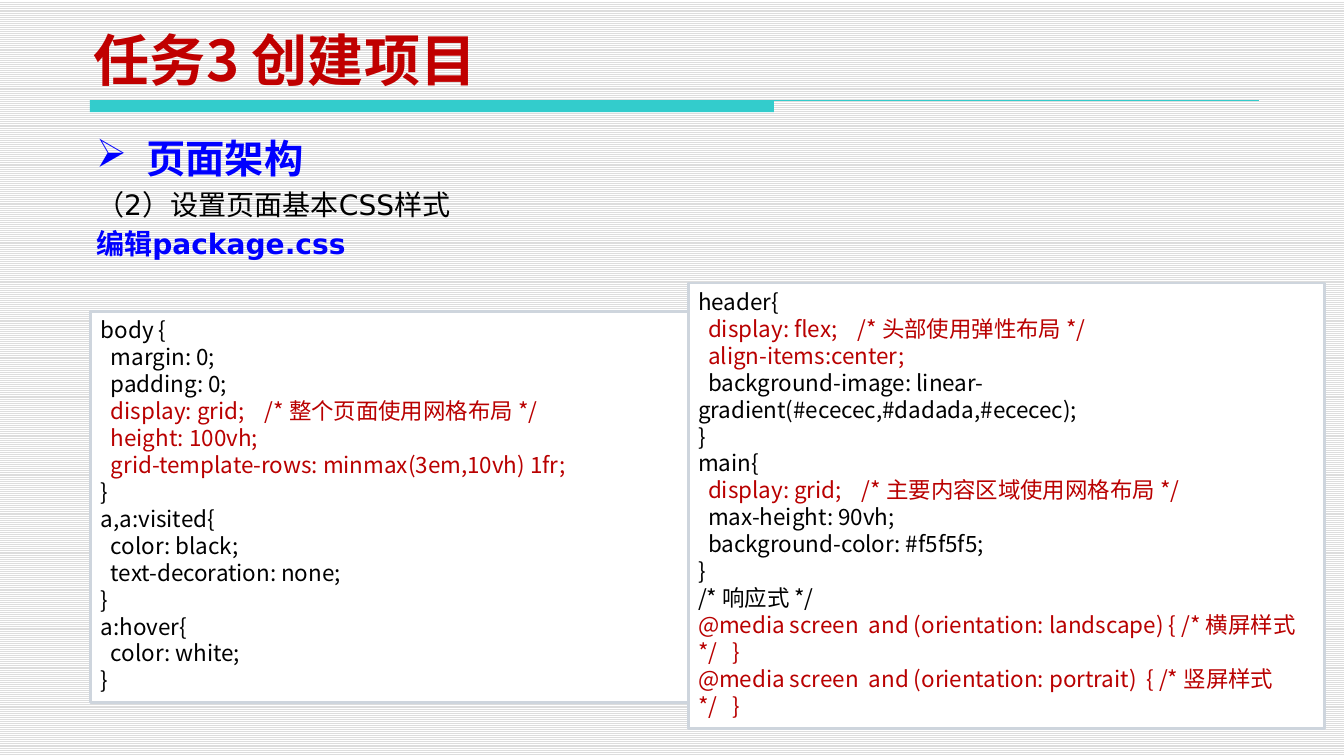
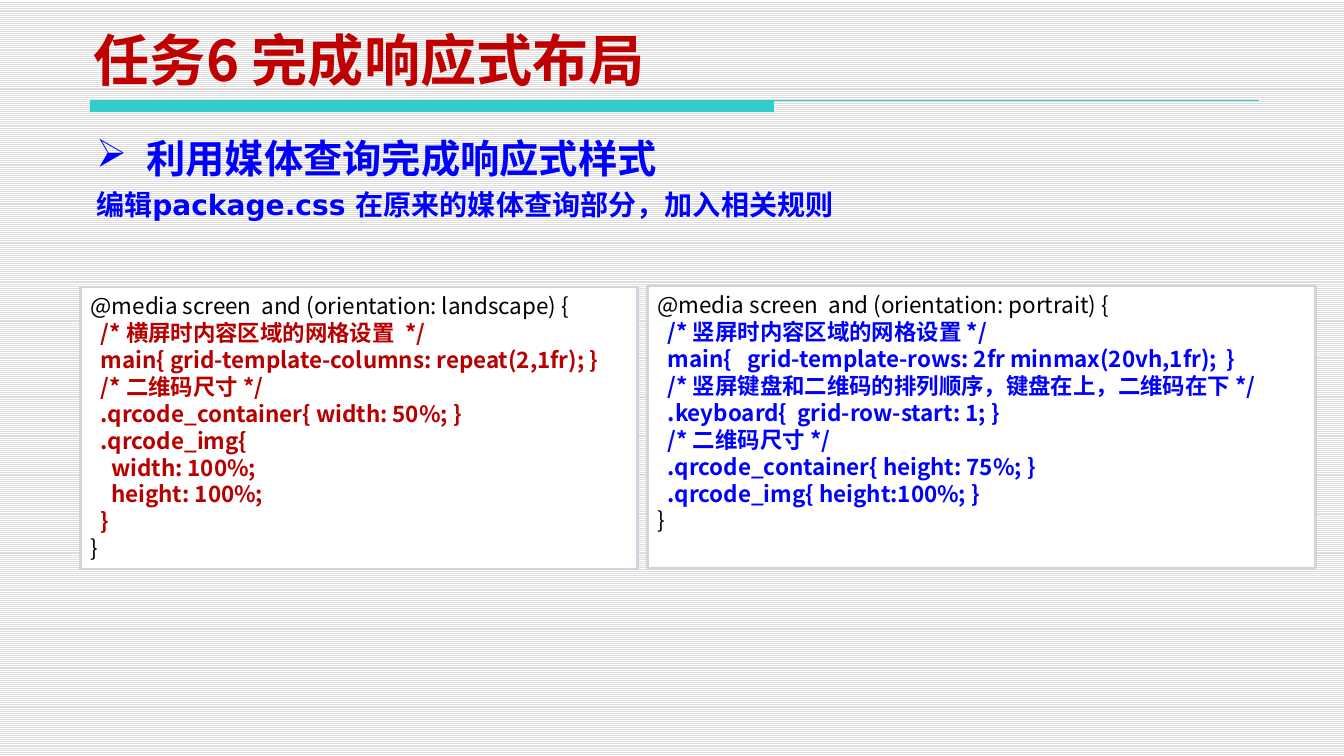
from lxml import etree
from pptx import Presentation
from pptx.dml.color import RGBColor
from pptx.enum.dml import MSO_PATTERN
from pptx.enum.shapes import MSO_CONNECTOR, MSO_SHAPE
from pptx.enum.text import MSO_ANCHOR, PP_ALIGN
from pptx.oxml.ns import qn
from pptx.util import Pt

LIGHT_HORIZONTAL = MSO_PATTERN.LIGHT_HORIZONTAL
STRAIGHT = MSO_CONNECTOR.STRAIGHT
RECTANGLE = MSO_SHAPE.RECTANGLE
TOP, BOTTOM = MSO_ANCHOR.TOP, MSO_ANCHOR.BOTTOM
LEFT, JUSTIFY = PP_ALIGN.LEFT, PP_ALIGN.JUSTIFY


class Theme:
    black = RGBColor.from_string("000000")
    white = RGBColor.from_string("FFFFFF")
    stripe = RGBColor.from_string("DDDDDD")
    band = RGBColor.from_string("33CCCC")
    title = RGBColor.from_string("C00000")
    blue = RGBColor.from_string("0000FF")
    red = RGBColor.from_string("B90000")
    border = RGBColor.from_string("CED5DD")
    cjk_font = "Noto Sans CJK SC"
    body_font = "DejaVu Sans"
    title_size, heading_size, body_size, code_size = 40, 28, 20, 16


def style_paragraph(p, size, color, bold=False, font=Theme.cjk_font, align=LEFT):
    """Set the paragraph's font, with the CJK face for East Asian text."""
    p.alignment = align
    p.font.size = Pt(size)
    p.font.bold = bold
    p.font.color.rgb = color
    p.font.name = font
    latin = p.font._element.find(qn("a:latin"))
    ea = etree.Element(qn("a:ea"), typeface=Theme.cjk_font)
    latin.addnext(ea)


def add_text_box(s, left, top, width, height, anchor=TOP):
    tf = s.shapes.add_textbox(Pt(left), Pt(top), Pt(width), Pt(height)).text_frame
    tf.word_wrap = True
    tf.vertical_anchor = anchor
    tf.margin_left = tf.margin_right = Pt(7.9)
    return tf


BODY_CSS = """
body {
  margin: 0;
  padding: 0;
  display: grid;    /* 整个页面使用网格布局 */
  height: 100vh;
  grid-template-rows: minmax(3em,10vh) 1fr;
}
a,a:visited{
  color: black;
  text-decoration: none;
}
a:hover{
  color: white;
}
"""
HEADER_CSS = """
header{
  display: flex;    /* 头部使用弹性布局 */
  align-items:center;
  background-image: linear-gradient(#ececec,#dadada,#ececec);
}
main{
  display: grid;    /* 主要内容区域使用网格布局 */
  max-height: 90vh;
  background-color: #f5f5f5;
}
/* 响应式 */
@media screen  and (orientation: landscape) { /* 横屏样式 */   }
@media screen  and (orientation: portrait)  { /* 竖屏样式 */   }
"""
LANDSCAPE_CSS = """
@media screen  and (orientation: landscape) {
  /* 横屏时内容区域的网格设置  */
  main{ grid-template-columns: repeat(2,1fr); }
  /* 二维码尺寸 */
  .qrcode_container{ width: 50%; }
  .qrcode_img{
    width: 100%;
    height: 100%;
  }
}
"""
PORTRAIT_CSS = """
@media screen  and (orientation: portrait) {
  /* 竖屏时内容区域的网格设置 */
  main{   grid-template-rows: 2fr minmax(20vh,1fr);  }
  /* 竖屏键盘和二维码的排列顺序，键盘在上，二维码在下 */
  .keyboard{  grid-row-start: 1; }
  /* 二维码尺寸 */
  .qrcode_container{ height: 75%; }
  .qrcode_img{ height:100%; }
}
"""

# Body line: text, colour, bold.
# Panel: box, code, numbers of the highlighted lines, highlight colour, bold.
SLIDES = [
    {
        "title": "任务3 创建项目",
        "heading": "页面架构",
        "body": [
            ("（2）设置页面基本CSS样式", Theme.black, False),
            ("编辑package.css", Theme.blue, True),
        ],
        "panels": [
            ((64.8, 221.8, 453.6, 278.6), BODY_CSS, {4, 5, 6}, Theme.red, False),
            ((490.3, 201.6, 453.6, 317.5), HEADER_CSS, {2, 3, 7, 12, 13}, Theme.red, False),
        ],
    },
    {
        "title": "任务6 完成响应式布局",
        "heading": "利用媒体查询完成响应式样式",
        "body": [
            ("编辑package.css 在原来的媒体查询部分，加入相关规则", Theme.blue, True),
        ],
        "panels": [
            ((57.6, 204.5, 396.7, 200.9), LANDSCAPE_CSS, range(2, 10), Theme.red, True),
            ((461.5, 203.8, 475.9, 200.9), PORTRAIT_CSS, range(2, 9), Theme.blue, True),
        ],
    },
]

prs = Presentation()
prs.slide_width, prs.slide_height = Pt(957.6), Pt(538.6)
blank = prs.slide_layouts[6]

background = prs.slide_master.background.fill
background.patterned()
background.pattern = LIGHT_HORIZONTAL
background.fore_color.rgb = Theme.stripe
background.back_color.rgb = Theme.white

for content in SLIDES:
    s = prs.slides.add_slide(blank)

    # Title band
    band = s.shapes.add_shape(RECTANGLE, Pt(64), Pt(71.3), Pt(487.5), Pt(8.6))
    band.shadow.inherit = False
    band.fill.solid()
    band.fill.fore_color.rgb = Theme.band
    band.line.fill.background()
    rule = s.shapes.add_connector(STRAIGHT, Pt(64), Pt(71.3), Pt(897), Pt(71.3))
    rule.line.color.rgb = Theme.band
    rule.line.width = Pt(0.75)
    etree.SubElement(rule._element.spPr, qn("a:effectLst"))

    # Title
    p = add_text_box(s, 59, 20.2, 697.7, 49.7, BOTTOM).paragraphs[0]
    p.text = content["title"]
    style_paragraph(p, Theme.title_size, Theme.title, True)

    # Heading and body lines
    tf = add_text_box(s, 60.5, 92.2, 838, 114.5 if len(content["body"]) > 1 else 77.8)
    p = tf.paragraphs[0]
    p.text = content["heading"]
    style_paragraph(p, Theme.heading_size, Theme.blue, True, Theme.body_font, JUSTIFY)
    pPr = p._p.get_or_add_pPr()
    pPr.set("marL", str(Pt(36)))
    pPr.set("indent", str(Pt(-36)))
    bullet = etree.Element(qn("a:buChar"), char="➢")
    pPr.find(qn("a:defRPr")).addprevious(bullet)
    for text, color, bold in content["body"]:
        p = tf.add_paragraph()
        p.text = text
        p.space_before = Pt(4)
        style_paragraph(p, Theme.body_size, color, bold, Theme.body_font, JUSTIFY)

    # Code panels
    for box, code, highlighted, color, bold in content["panels"]:
        sp = s.shapes.add_shape(RECTANGLE, *map(Pt, box))
        sp.shadow.inherit = False
        sp.fill.solid()
        sp.fill.fore_color.rgb = Theme.white
        sp.line.color.rgb = Theme.border
        sp.line.width = Pt(2)
        tf = sp.text_frame
        tf.word_wrap = True
        tf.vertical_anchor = TOP
        for number, line in enumerate(code.strip().splitlines(), 1):
            p = tf.paragraphs[0] if number == 1 else tf.add_paragraph()
            p.text = line
            if number in highlighted:
                style_paragraph(p, Theme.code_size, color, bold)
            else:
                style_paragraph(p, Theme.code_size, Theme.black)

prs.save("out.pptx")
